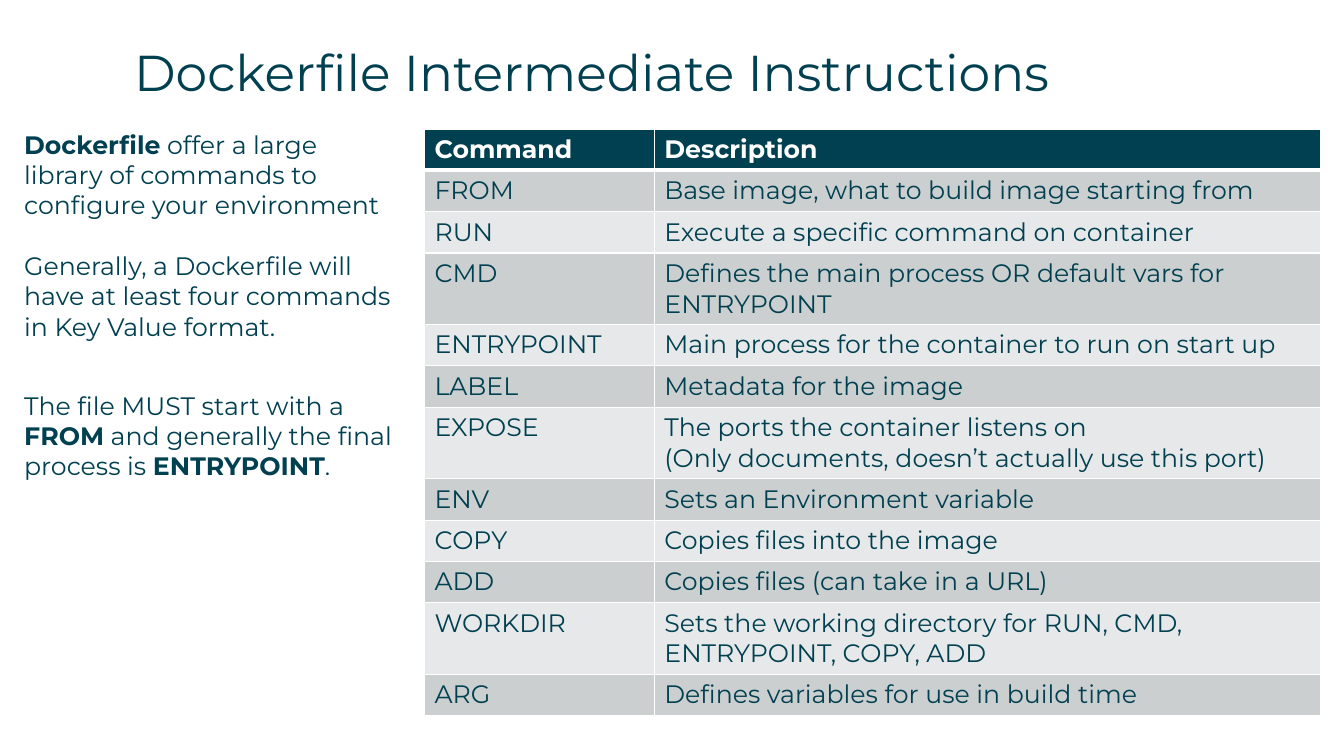
from lxml.etree import SubElement
from pptx import Presentation
from pptx.dml.color import RGBColor
from pptx.enum.text import MSO_ANCHOR as Anchor, MSO_AUTO_SIZE as Fit, PP_ALIGN as Align
from pptx.oxml.ns import qn
from pptx.util import Inches, Pt

TEAL = RGBColor(0x00, 0x40, 0x50)
WHITE = RGBColor(0xFF, 0xFF, 0xFF)
DARK = RGBColor(0xCC, 0xCF, 0xD0)
LIGHT = RGBColor(0xE7, 0xE8, 0xE9)
FONT = "Montserrat"

TITLE = "Dockerfile Intermediate Instructions"
NOTES = [
    (0, [("Dockerfile", True),
         (" offer a large library of commands to configure your environment", False)]),
    (22, [("Generally, a Dockerfile will have at least four commands in Key Value format.", False)]),
    (35, [("The file MUST start with a ", False), ("FROM", True),
          (" and generally the final process is ", False), ("ENTRYPOINT", True), (".", False)]),
]
ROWS = [
    ("Command", "Description"),
    ("FROM", "Base image, what to build image starting from"),
    ("RUN", "Execute a specific command on container"),
    ("CMD", "Defines the main process OR default vars for ENTRYPOINT"),
    ("ENTRYPOINT", "Main process for the container to run on start up"),
    ("LABEL", "Metadata for the image"),
    ("EXPOSE", "The ports the container listens on\n(Only documents, doesn’t actually use this port)"),
    ("ENV", "Sets an Environment variable"),
    ("COPY", "Copies files into the image"),
    ("ADD", "Copies files (can take in a URL)"),
    ("WORKDIR", "Sets the working directory for RUN, CMD, ENTRYPOINT, COPY, ADD"),
    ("ARG", "Defines variables for use in build time"),
]
COLS = (2.28, 6.61)
ROW_H = 0.41


def add_run(para, text, size=18, bold=False, color=TEAL):
    run = para.add_run()
    run.text = text
    font = run.font
    font.name, font.size, font.bold = FONT, Pt(size), bold
    font.color.rgb = color


def set_frame(shape):
    frame = shape.text_frame
    frame.margin_left = frame.margin_right = frame.margin_top = frame.margin_bottom = 0
    frame.word_wrap = True
    frame.auto_size = Fit.NONE
    frame.vertical_anchor = Anchor.TOP
    return frame


def add_edge(cell, side, width):
    line = SubElement(cell._tc.get_or_add_tcPr(), qn("a:" + side), w=str(Pt(width)))
    fill = SubElement(line, qn("a:solidFill"))
    SubElement(fill, qn("a:srgbClr"), val=str(WHITE))


def add_title(slide):
    title = slide.shapes.title
    title.left, title.top = Inches(1.33), Inches(0.41)
    title.width, title.height = Inches(11.59), Inches(0.57)
    para = set_frame(title).paragraphs[0]
    para.alignment = Align.LEFT
    add_run(para, TITLE, 36)


def add_notes(slide):
    box = slide.shapes.add_textbox(Inches(0.24), Inches(1.28), Inches(3.7), Inches(5.73))
    frame = set_frame(box)
    for i, (gap, runs) in enumerate(NOTES):
        para = frame.add_paragraph() if i else frame.paragraphs[0]
        para.space_before = Pt(gap)
        for text, bold in runs:
            add_run(para, text, bold=bold)


def fill_cell(cell, text, row):
    head = row == 0
    for side in ("lnL", "lnR", "lnT", "lnB"):
        thick = (row, side) in ((0, "lnB"), (1, "lnT"))
        add_edge(cell, side, 3 if thick else 1)
    cell.fill.solid()
    cell.fill.fore_color.rgb = TEAL if head else DARK if row % 2 else LIGHT
    para = cell.text_frame.paragraphs[0]
    for i, line in enumerate(text.split("\n")):
        if i:
            para.add_line_break()
        add_run(para, line, bold=head, color=WHITE if head else TEAL)


def add_grid(slide):
    frame = slide.shapes.add_table(len(ROWS), len(COLS), Inches(4.21), Inches(1.28),
                                   Inches(sum(COLS)), Inches(ROW_H * len(ROWS)))
    table = frame.table
    for col, width in zip(table.columns, COLS):
        col.width = Inches(width)
    for r, texts in enumerate(ROWS):
        table.rows[r].height = Inches(ROW_H)
        for c, text in enumerate(texts):
            fill_cell(table.cell(r, c), text, r)


def main():
    """Build the slide of Dockerfile instructions."""
    deck = Presentation()
    deck.slide_width, deck.slide_height = Inches(13.33), Inches(7.5)
    slide = deck.slides.add_slide(deck.slide_layouts[5])
    add_title(slide)
    add_notes(slide)
    add_grid(slide)
    deck.save("out.pptx")


if __name__ == "__main__":
    main()
